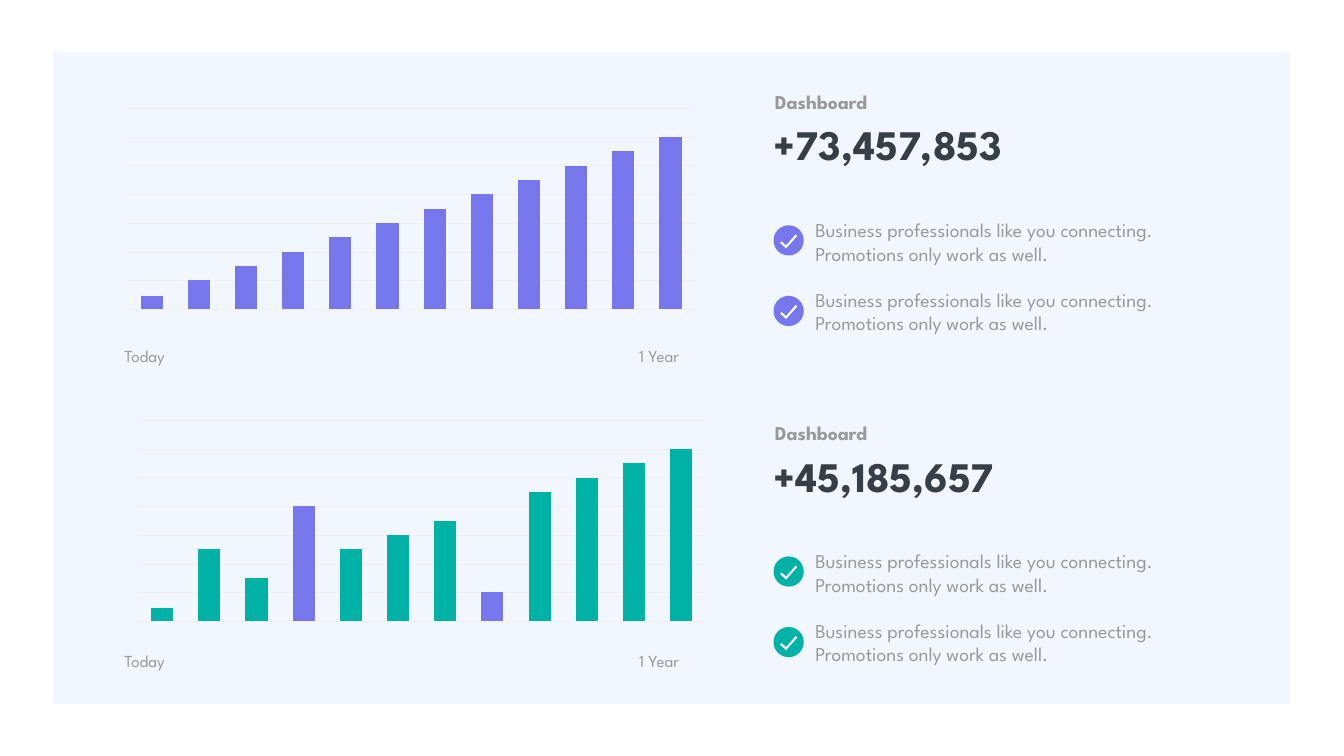
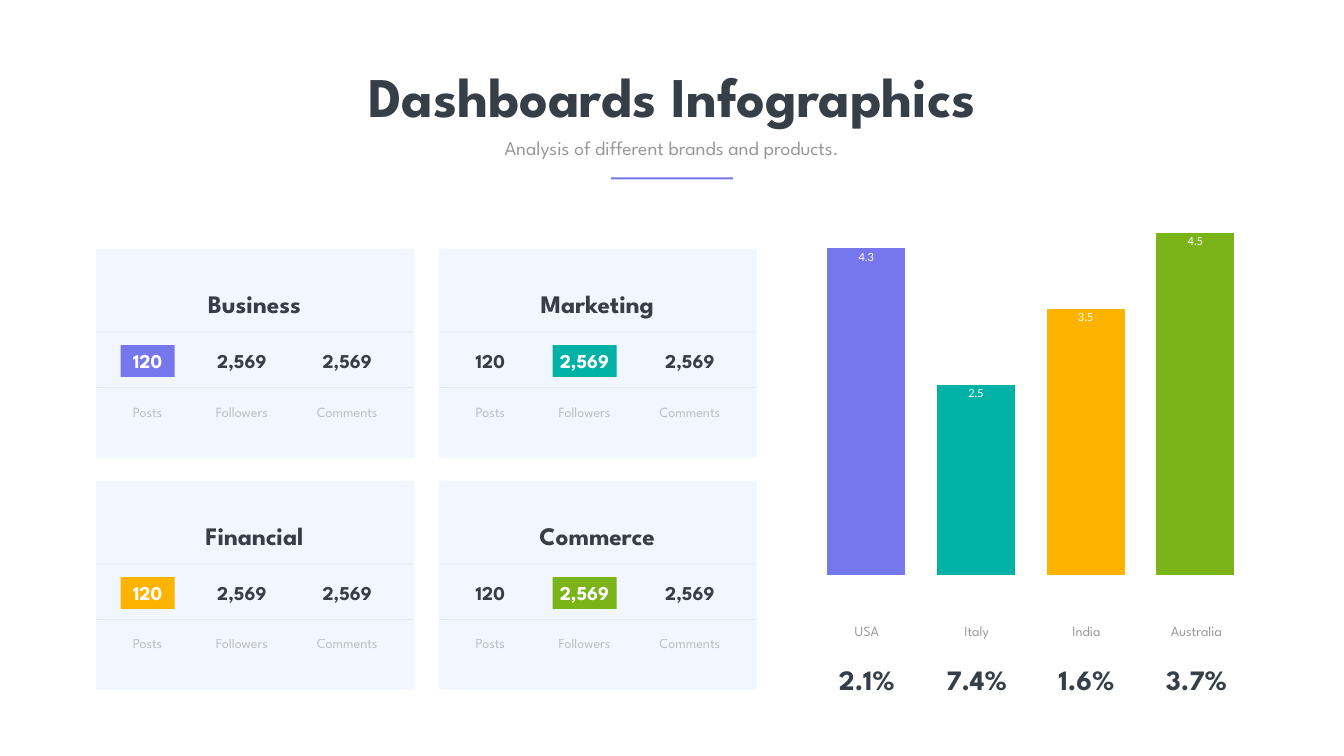
"""Build two dashboard slides: growth charts and infographic cards."""
from dataclasses import dataclass

from lxml.etree import SubElement
from pptx import Presentation
from pptx.chart.data import CategoryChartData
from pptx.dml.color import RGBColor
from pptx.enum.chart import XL_CHART_TYPE, XL_LABEL_POSITION
from pptx.enum.shapes import MSO_CONNECTOR, MSO_SHAPE
from pptx.enum.text import MSO_ANCHOR, MSO_AUTO_SIZE, PP_ALIGN
from pptx.oxml import parse_xml
from pptx.oxml.ns import nsdecls, qn
from pptx.util import Inches, Pt


@dataclass(frozen=True)
class Theme:
    font: str = "League Spartan"
    label_font: str = "Lato"
    axis_font: str = "Calibri"
    dark: str = "363E48"
    grey: str = "999999"
    white: str = "FFFFFF"
    panel: str = "EEF4FF"
    grid: str = "F0F0F0"
    violet: str = "7676ED"
    teal: str = "00B2A6"
    amber: str = "FEB300"
    green: str = "7AB418"
    title: int = 80
    figure: int = 60
    percent: int = 40
    heading: int = 36
    body: int = 28
    axis: int = 24
    small: int = 20
    value: int = 16
    tick: int = 10


T = Theme()

CHECK_TEXT = "Business professionals like you connecting. Promotions only work as well."
CHECK_MARK = [(.44, .18), (.47, .21), (.25, .46), (.13, .35), (.16, .32), (.25, .40)]
DASHBOARDS = [
    {"figure": "+73,457,853", "top": 1.73, "colour": T.violet, "chart_at": (1.9, 1.32),
     "axis_top": 6.64, "values": [8, 17, 25, 33, 42, 50, 58, 67, 75, 83, 92, 100],
     "points": {}},
    {"figure": "+45,185,657", "top": 8.3, "colour": T.teal, "chart_at": (2.11, 7.51),
     "axis_top": 12.7, "values": [8, 42, 25, 67, 42, 50, 58, 17, 75, 83, 92, 100],
     "points": {3: T.violet, 7: T.violet}},
]
AXIS_ENDS = [("Today", 1.67), ("1 Year", 11.88)]

CARDS = [
    [("Business", T.violet, 0), ("Marketing", T.teal, 1)],
    [("Financial", T.amber, 0), ("Commerce", T.green, 1)],
]
STATS = [("120", "Posts", 1.02, 1.07), ("2,569", "Followers", 2.89, 1.27),
         ("2,569", "Comments", 4.98, 1.27)]
COUNTRIES = [("USA", 4.3, "2.1%", T.violet), ("Italy", 2.5, "7.4%", T.teal),
             ("India", 3.5, "1.6%", T.amber), ("Australia", 4.5, "3.7%", T.green)]


def box(*lengths):
    return [Inches(v) for v in lengths]


def rgb(colour):
    return RGBColor.from_string(colour)


def fade(element, percent):
    for clr in element.iter(qn("a:srgbClr")):
        SubElement(clr, qn("a:alpha"), val=str(percent * 1000))


def write(sp, text, size, colour=T.grey, bold=False, align=PP_ALIGN.LEFT,
          alpha=None, spacing=None):
    tf = sp.text_frame
    tf.text = text
    tf.word_wrap = True
    tf.auto_size = MSO_AUTO_SIZE.SHAPE_TO_FIT_TEXT
    tf.vertical_anchor = MSO_ANCHOR.TOP
    p = tf.paragraphs[0]
    p.alignment = align
    p.space_before = Pt(0)
    if spacing:
        p.line_spacing = Pt(spacing)
    p.font.name = T.font
    p.font.size = Pt(size)
    p.font.bold = bold
    p.font.color.rgb = rgb(colour)
    if alpha:
        fade(p._p, alpha)


def add_text(s, at, text, size, **style):
    write(s.shapes.add_textbox(*box(*at)), text, size, **style)


def add_centred(s, centre, top, width, height, text, size, **style):
    at = (centre - width / 2, top, width, height)
    add_text(s, at, text, size, align=PP_ALIGN.CENTER, **style)


def set_title(s, at, text, size, align=PP_ALIGN.LEFT):
    title = s.shapes.title
    title.left, title.top, title.width, title.height = box(*at)
    write(title, text, size, T.dark, True, align)


def paint(sp, colour, alpha=None):
    sp.shadow.inherit = False
    sp.fill.solid()
    sp.fill.fore_color.rgb = rgb(colour)
    sp.line.fill.background()
    if alpha:
        fade(sp.element.spPr, alpha)
    return sp


def add_block(s, kind, at, colour, alpha=None):
    return paint(s.shapes.add_shape(kind, *box(*at)), colour, alpha)


def add_rule(s, x, y, length):
    line = s.shapes.add_connector(MSO_CONNECTOR.STRAIGHT, *box(x, y, x + length, y))
    line.line.color.rgb = rgb(T.dark)
    line.line.width = Pt(0.75)
    fade(line.element.spPr, 10)
    SubElement(line.element.spPr, qn("a:effectLst"))


def add_check(s, x, y, colour):
    add_block(s, MSO_SHAPE.OVAL, (x, y, 0.6, 0.6), colour)
    points = [tuple(box(x + dx, y + dy)) for dx, dy in CHECK_MARK]
    fb = s.shapes.build_freeform(*points[0])
    fb.add_line_segments(points[1:], close=True)
    paint(fb.convert_to_shape(), T.white)


def add_columns(s, at, values, colour, points, gap, top, font, size):
    data = CategoryChartData()
    data.categories = [str(i + 1) for i in range(len(values))]
    data.add_series("Series 1", values)
    chart = s.shapes.add_chart(XL_CHART_TYPE.COLUMN_CLUSTERED, *box(*at), data).chart
    chart.has_legend = chart.has_title = False
    chart.font.name, chart.font.size = font, Pt(size)
    chart.font.color.rgb = rgb(T.grey)
    chart.category_axis.visible = chart.value_axis.visible = False
    chart.value_axis.has_major_gridlines = False
    chart.value_axis.minimum_scale = 0
    chart.value_axis.maximum_scale = top
    plot = chart.plots[0]
    plot.vary_by_categories = False
    plot.gap_width = gap
    series = plot.series[0]
    series.invert_if_negative = False
    series.format.fill.solid()
    series.format.fill.fore_color.rgb = rgb(colour)
    for i, point_colour in points.items():
        fill = series.points[i].format.fill
        fill.solid()
        fill.fore_color.rgb = rgb(point_colour)
    return chart


def add_growth_chart(s, d):
    chart = add_columns(s, (*d["chart_at"], 11.88, 5.38), d["values"], d["colour"],
                        d["points"], 113, 116.7, T.axis_font, T.tick)
    chart.plots[0].overlap = -27
    axis = chart.value_axis
    axis.major_unit = 16.67
    axis.has_major_gridlines = True
    axis.major_gridlines.format.line.color.rgb = rgb(T.grid)
    axis.major_gridlines.format.line.width = Pt(0.75)
    area = chart.plots[0]._element.getparent()
    for old in area.findall(qn("c:layout")):
        area.remove(old)
    area.insert(0, parse_xml(
        f'<c:layout {nsdecls("c")}><c:manualLayout><c:layoutTarget val="inner"/>'
        '<c:xMode val="edge"/><c:yMode val="edge"/><c:x val="0.054"/><c:y val="0.153"/>'
        '<c:w val="0.946"/><c:h val="0.743"/></c:manualLayout></c:layout>'))


def add_dashboard(s, d, is_title):
    top = d["top"]
    add_text(s, (15.28, top, 4.76, 0.57), "Dashboard", T.body, bold=True)
    figure_at = (15.25, top + 0.58, 5.33, 1.11)
    if is_title:
        set_title(s, figure_at, d["figure"], T.figure)
    else:
        add_text(s, figure_at, d["figure"], T.figure, colour=T.dark, bold=True)
    for row in range(2):
        add_check(s, 15.35, top + 2.74 + 1.4 * row, d["colour"])
        add_text(s, (16.08, top + 2.55 + 1.38 * row, 8.12, 1.04), CHECK_TEXT, T.body)
    for label, x in AXIS_ENDS:
        add_text(s, (x, d["axis_top"], 2.4, 0.46), label, T.axis,
                 align=PP_ALIGN.CENTER, spacing=40.8)
    add_growth_chart(s, d)


def add_card(s, x, y, name, colour, marked):
    card = add_block(s, MSO_SHAPE.ROUNDED_RECTANGLE, (x, y, 6.31, 4.14), T.panel, 80)
    card.adjustments[0] = 0
    add_centred(s, x + 3.14, y + 0.74, 5.79, 0.71, name, T.heading, colour=T.dark, bold=True)
    add_rule(s, x + 0.02, y + 1.65, 6.28)
    add_rule(s, x, y + 2.75, 6.28)
    for i, (number, label, dx, width) in enumerate(STATS):
        centre = x + dx
        if i == marked:
            add_block(s, MSO_SHAPE.RECTANGLE,
                      (centre - width / 2, y + 1.91, width, 0.63), colour)
        add_centred(s, centre, y + 1.94, 2.03, 0.54, number, T.body,
                    colour=T.white if i == marked else T.dark, bold=True)
        add_centred(s, centre, y + 3.01, 2.92, 0.44, label, T.small, alpha=60)


def add_country_chart(s):
    colours = {i: c[3] for i, c in enumerate(COUNTRIES)}
    chart = add_columns(s, (15.92, 3.71, 9.07, 7.85), [c[1] for c in COUNTRIES],
                        T.violet, colours, 41, 5, T.label_font, T.value)
    labels = chart.plots[0].series[0].data_labels
    labels.show_value = True
    labels.position = XL_LABEL_POSITION.INSIDE_END
    labels.font.name, labels.font.size = T.label_font, Pt(T.value)
    labels.font.color.rgb = rgb(T.white)
    for i, (country, _, share, _) in enumerate(COUNTRIES):
        centre = 17.2 + 2.18 * i
        add_centred(s, centre, 13.1, 3.01, 1.03, share, T.percent, colour=T.dark, bold=True)
        add_centred(s, centre, 12.3, 1.82, 0.58, country, T.small)


def build_growth(s):
    panel = add_block(s, MSO_SHAPE.RECTANGLE, (1.06, 1.03, 24.54, 12.93), T.panel, 80)
    s.shapes.title.element.addprevious(panel.element)
    for i, d in enumerate(DASHBOARDS):
        add_dashboard(s, d, is_title=i == 0)


def build_infographics(s):
    set_title(s, (6.45, 1.17, 13.77, 1.45), "Dashboards Infographics", T.title,
              PP_ALIGN.CENTER)
    add_centred(s, 13.33, 2.65, 9.56, 0.57, "Analysis of different brands and products.",
                T.body)
    add_block(s, MSO_SHAPE.RECTANGLE, (12.12, 3.52, 2.43, 0.04), T.violet)
    for row, cards in enumerate(CARDS):
        for col, card in enumerate(cards):
            add_card(s, 1.91 + 6.8 * col, 4.94 + 4.6 * row, *card)
    add_country_chart(s)


def main():
    prs = Presentation()
    prs.slide_width, prs.slide_height = box(26.67, 15)
    for build in (build_growth, build_infographics):
        build(prs.slides.add_slide(prs.slide_layouts[5]))
    prs.save("out.pptx")


if __name__ == "__main__":
    main()
